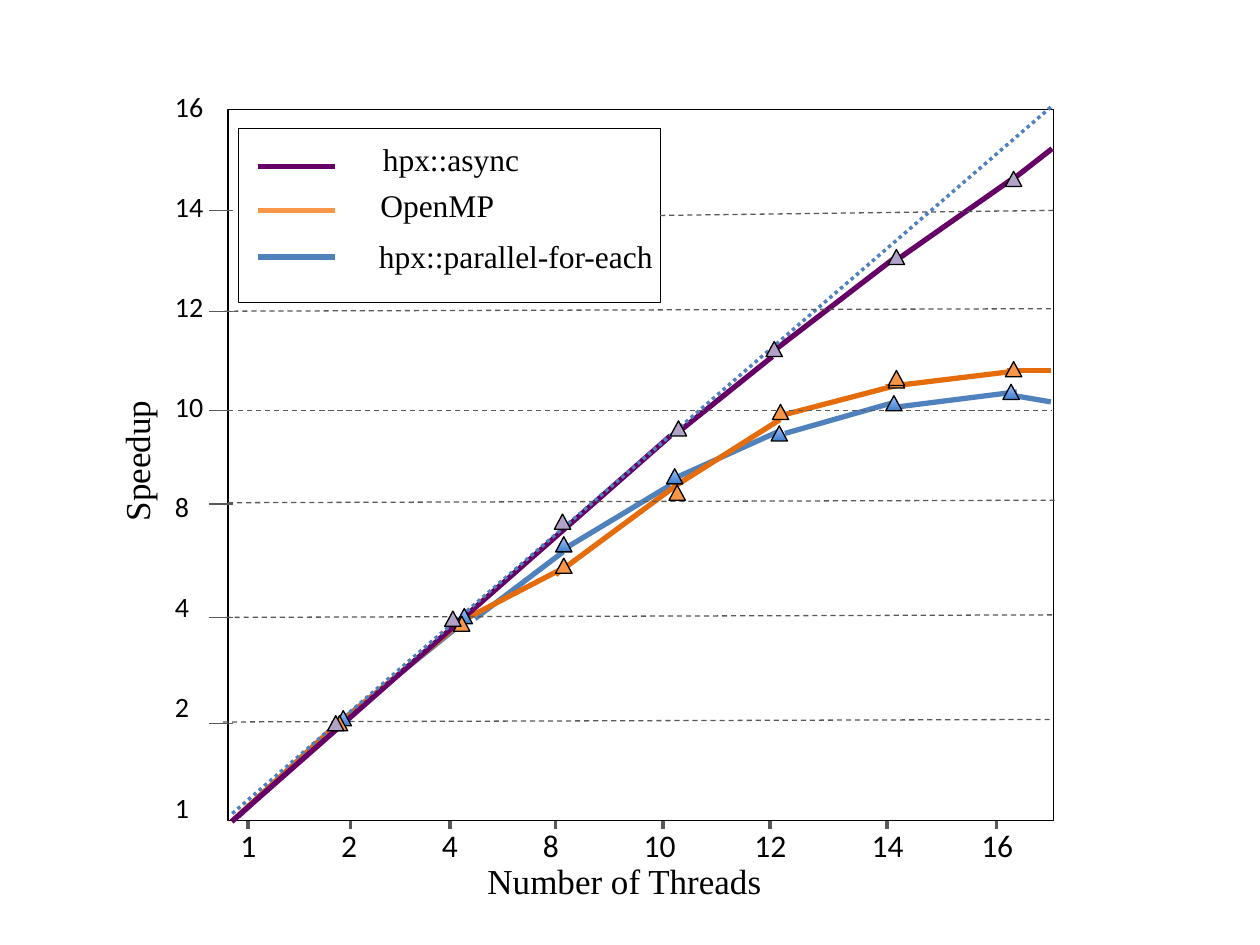
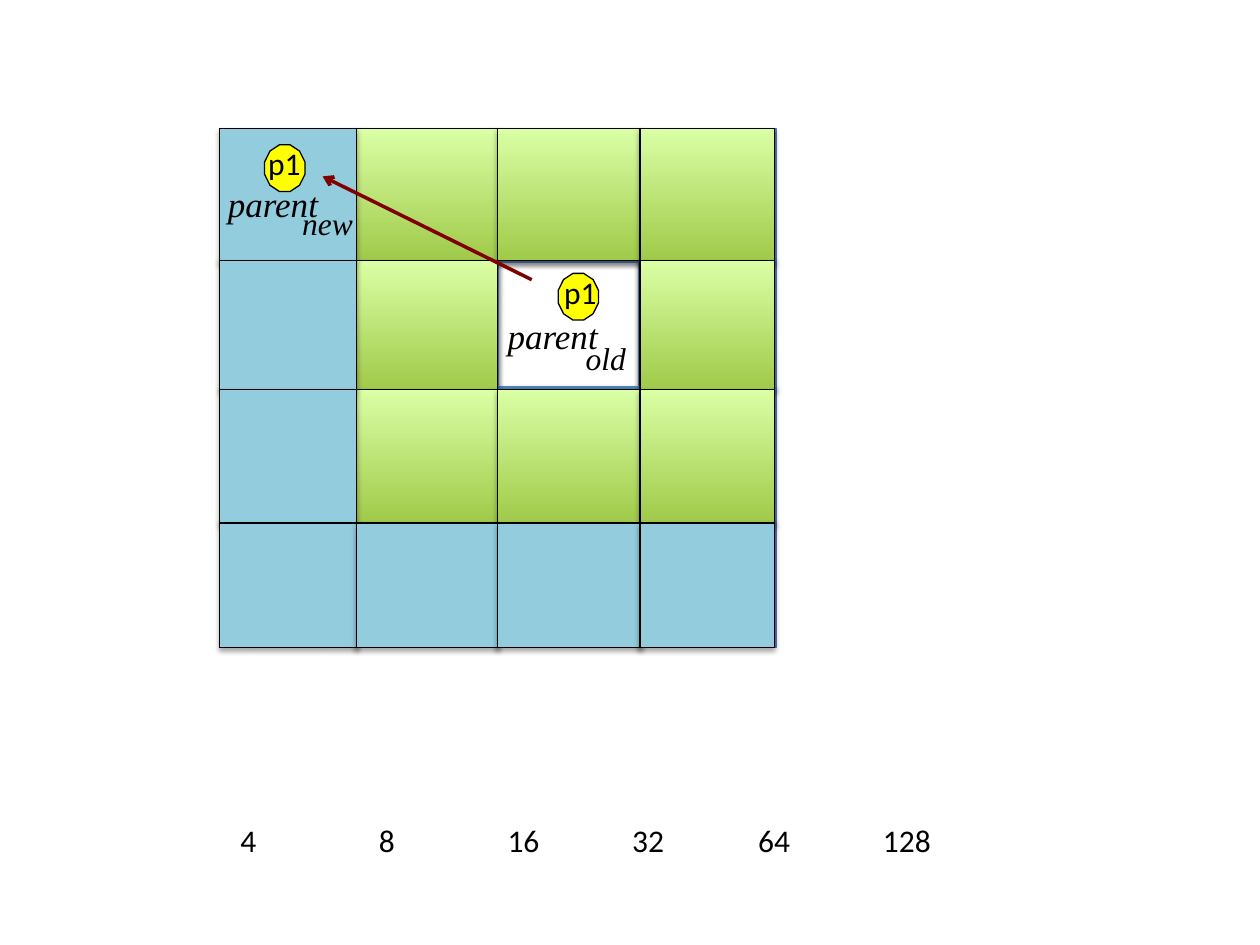
"""Build a speedup line plot and a particle grid diagram as two slides."""
from lxml import etree
from pptx import Presentation
from pptx.dml.color import RGBColor
from pptx.enum.dml import MSO_LINE
from pptx.enum.shapes import MSO_CONNECTOR, MSO_SHAPE
from pptx.enum.text import MSO_AUTO_SIZE
from pptx.oxml.ns import qn
from pptx.util import Inches, Pt

STRAIGHT = MSO_CONNECTOR.STRAIGHT
RECTANGLE, TRIANGLE, DODECAGON = MSO_SHAPE.RECTANGLE, MSO_SHAPE.ISOSCELES_TRIANGLE, MSO_SHAPE.DODECAGON
DASH, DOT = MSO_LINE.DASH, MSO_LINE.ROUND_DOT
FIT_SHAPE = MSO_AUTO_SIZE.SHAPE_TO_FIT_TEXT
TOP, LEFT, BOTTOM, RIGHT = range(4)
SANS, SERIF = "Calibri", "Times New Roman"

COLORS = {
    "black": "000000", "gray": "595959", "blue": "4F81BD", "orange": "E46C0A",
    "light orange": "F79646", "purple": "660066", "lilac": "B3A2C7",
    "marker dark": "3F80CE", "marker light": "A4C4FF", "green dark": "A0CA4A",
    "green light": "DAFFA5", "cyan": "93CDDD", "yellow": "FFFF00",
    "outline": "4B7EBC", "red": "BF4C48", "maroon": "800000",
}
BLUE_GRADIENT = ("marker dark", "marker light")
GREEN_GRADIENT = ("green dark", "green light")

PLOT = (1.81, 0.87, 6.55, 5.64)
LEGEND = (1.89, 1.02, 3.35, 1.38)
SPEEDUPS = ["16", "14", "12", "10", "8", "4", "2", "1"]
THREADS = ["1", "2", "4", "8", "10", "12", "14", "16"]
THREAD_TABS = [0.8, 1.6, 2.4, 3.2, 4.08, 5.01, 5.88]
THREAD_TICKS = [1.97, 2.78, 3.57, 4.41, 5.26, 6.11, 7.04, 7.91]
SPEEDUP_TICKS = [1.67, 2.47, 3.26, 4, 4.9, 5.74]
GRIDLINES = [
    (1.78, 2.47, 8.34, 2.45), (1.89, 3.26, 8.34, 3.26), (1.81, 3.99, 8.37, 3.97),
    (1.79, 4.9, 8.35, 4.88), (1.77, 5.73, 8.34, 5.71),
]
SERIES = [
    {
        "color": "blue", "fill": BLUE_GRADIENT,
        "segments": [
            (1.89, 6.48, 2.66, 5.76), (2.66, 5.76, 3.75, 4.88), (3.77, 4.91, 4.47, 4.38),
            (4.44, 4.38, 5.32, 3.85), (5.39, 3.78, 6.19, 3.42), (6.23, 3.44, 7.11, 3.19),
            (7.12, 3.23, 8.07, 3.11), (7.99, 3.13, 8.34, 3.19),
        ],
        "markers": [(2.66, 5.64), (3.62, 4.83), (4.41, 4.26), (5.29, 3.72),
                    (6.12, 3.38), (7.03, 3.14), (7.96, 3.05)],
    },
    {
        "color": "orange", "fill": "light orange",
        "segments": [
            (1.84, 6.52, 2.61, 5.81), (2.7, 5.74, 3.62, 4.97), (3.66, 4.93, 4.47, 4.51),
            (4.41, 4.56, 5.37, 3.85), (5.37, 3.85, 6.19, 3.33), (6.19, 3.3, 7.11, 3.06),
            (7.03, 3.07, 8.02, 2.95), (7.99, 2.94, 8.34, 2.94),
        ],
        "markers": [(2.63, 5.68), (3.6, 4.89), (4.41, 4.43), (5.31, 3.85),
                    (6.13, 3.21), (7.05, 2.96), (7.05, 2.94), (7.98, 2.87)],
    },
    {
        "color": "purple", "fill": "lilac",
        "segments": [
            (1.84, 6.52, 5.32, 3.46), (5.42, 3.4, 6.13, 2.83), (6.16, 2.77, 7.11, 2.04),
            (7.15, 2.04, 8.02, 1.43), (8.03, 1.43, 8.35, 1.18),
        ],
        "markers": [(2.6, 5.68), (3.53, 4.85), (4.4, 4.08), (5.32, 3.34),
                    (6.08, 2.71), (7.05, 1.98), (7.98, 1.36)],
    },
]
IDEAL = (8.34, 0.85, 1.84, 6.46)
LEGEND_ENTRIES = [
    ("hpx::async", "purple", 1.32, (2.94, 1.06, 1.3, 0.4)),
    ("OpenMP", "light orange", 1.67, (2.92, 1.43, 1.11, 0.4)),
    ("hpx::parallel-for-each", "blue", 2.04, (2.91, 1.83, 2.4, 0.4)),
]

COLUMN_EDGES = [1.74, 2.83, 3.95, 5.08, 6.15]
ROW_EDGES = [1.02, 2.07, 3.09, 4.15, 5.14]
CELL_ROWS = ["CGGG", "CGWG", "CGGG", "CCCC"]
CELL_STYLES = {"W": (None, "red"), "G": (GREEN_GRADIENT, "black"), "C": ("cyan", "black")}
PARTICLES = [
    {"dot": (4.43, 2.17), "name": (4.38, 2.12), "parent": (3.93, 2.45),
     "suffix": "old", "suffix box": (4.55, 2.64, 0.61, 0.4)},
    {"dot": (2.1, 1.15), "name": (2.03, 1.09), "parent": (1.71, 1.4),
     "suffix": "new", "suffix box": (2.3, 1.57, 0.71, 0.4)},
]
MOVE = (4.22, 2.22, 2.56, 1.4)
COUNTS = ["4", "8", "16", "32", "64", "128"]
COUNT_TABS = [1.1, 2.12, 3.11, 4.11, 5.1]


def rgb(name):
    return RGBColor.from_string(COLORS[name])


def set_effects(shape, shadow):
    effects = etree.SubElement(shape._element.spPr, qn("a:effectLst"))
    if shadow:
        opacity, distance = shadow
        outer = etree.SubElement(effects, qn("a:outerShdw"), blurRad=str(Pt(3.1)),
                                 dist=str(Pt(distance)), dir="5400000", rotWithShape="0")
        color = etree.SubElement(outer, qn("a:srgbClr"), val=COLORS["black"])
        etree.SubElement(color, qn("a:alpha"), val=str(opacity * 1000))


def add_box(slide, kind, box, fill=None, line="black", shadow=None):
    shape = slide.shapes.add_shape(kind, *map(Inches, box))
    if fill is None:
        shape.fill.background()
    elif isinstance(fill, tuple):
        shape.fill.gradient()
        shape.fill.gradient_angle = 90
        for stop, name in zip(shape.fill.gradient_stops, fill):
            stop.color.rgb = rgb(name)
    else:
        shape.fill.solid()
        shape.fill.fore_color.rgb = rgb(fill)
    shape.line.color.rgb = rgb(line)
    shape.line.width = Pt(0.75)
    set_effects(shape, shadow)
    return shape


def add_line(slide, ends, color, width, dash=None, shadow=None):
    line = slide.shapes.add_connector(STRAIGHT, *map(Inches, ends))
    line.line.color.rgb = rgb(color)
    line.line.width = Pt(width)
    if dash:
        line.line.dash_style = dash
    set_effects(line, shadow)
    return line


def add_text(slide, box, paragraphs, size, font, italic=None, wrap=False, gap=0, tabs=()):
    shape = slide.shapes.add_textbox(*map(Inches, box))
    frame = shape.text_frame
    frame.word_wrap = wrap
    frame.auto_size = FIT_SHAPE
    frame.text = "\n".join(paragraphs)
    for index, paragraph in enumerate(frame.paragraphs):
        if index and gap:
            paragraph.space_before = Pt(gap)
        if tabs:
            tab_list = etree.SubElement(paragraph._p.get_or_add_pPr(), qn("a:tabLst"))
            for position in tabs:
                etree.SubElement(tab_list, qn("a:tab"), pos=str(Inches(position)), algn="l")
        for run in paragraph.runs:
            run.font.name = font
            run.font.size = Pt(size)
            run.font.italic = italic
            run.font.color.rgb = rgb("black")
    return shape


def build_speedup(slide):
    add_box(slide, RECTANGLE, PLOT)
    add_text(slide, (1.81, 6.51, 6.56, 0.4), ["\t".join(THREADS)], 18, SANS,
             wrap=True, tabs=THREAD_TABS)
    add_text(slide, (1.29, 0.66, 0.43, 6.02), SPEEDUPS, 16, SANS, gap=38)
    add_text(slide, (3.77, 6.77, 2.41, 0.44), ["Number of Threads"], 20, SERIF)
    axis_title = add_text(slide, (0.18, 3.11, 1.81, 0.44), ["Speedup"], 20, SERIF, wrap=True)
    axis_title.rotation = 270

    for series in SERIES:
        for segment in series["segments"]:
            add_line(slide, segment, series["color"], 3)
    legend = add_box(slide, RECTANGLE, LEGEND)
    for label, color, y, box in LEGEND_ENTRIES:
        add_line(slide, (2.05, y, 2.66, y), color, 3)
        add_text(slide, box, [label], 18, SERIF)
    add_line(slide, IDEAL, "blue", 2, DOT)

    top_gridline = add_line(slide, (5.24, 1.71, 8.36, 1.67), "gray", 0.75, DASH)
    top_gridline.begin_connect(legend, RIGHT)
    for gridline in GRIDLINES:
        add_line(slide, gridline, "gray", 0.75, DASH)
    for y in SPEEDUP_TICKS:
        add_line(slide, (1.66, y, 1.85, y), "gray", 0.75)
    for x in THREAD_TICKS:
        add_line(slide, (x, 6.52, x, 6.58), "gray", 2)
    for series in SERIES:
        for x, y in series["markers"]:
            add_box(slide, TRIANGLE, (x, y, 0.13, 0.12), series["fill"])


def build_particle_grid(slide):
    left, *inner_columns, right = COLUMN_EDGES
    top, *inner_rows, bottom = ROW_EDGES
    outer = add_box(slide, RECTANGLE, (left, top, 4.42, 4.12), line="outline")
    add_box(slide, RECTANGLE, (2.84, 2.07, 2.24, 2.07), line="outline")
    dividers = [(x, top, x, bottom) for x in inner_columns]
    dividers += [(left, y, right, y) for y in inner_rows]
    lines = [add_line(slide, ends, "blue", 2, shadow=(38, 1.6)) for ends in dividers]
    for line, start, end in ((lines[1], TOP, BOTTOM), (lines[4], LEFT, RIGHT)):
        line.begin_connect(outer, start)
        line.end_connect(outer, end)

    for code, (fill, outline) in CELL_STYLES.items():
        for row, codes in enumerate(CELL_ROWS):
            for column, cell in enumerate(codes):
                if cell == code:
                    x, y = COLUMN_EDGES[column], ROW_EDGES[row]
                    box = (x, y, COLUMN_EDGES[column + 1] - x, ROW_EDGES[row + 1] - y)
                    add_box(slide, RECTANGLE, box, fill, outline, (35, 1.8))

    for particle in PARTICLES:
        add_box(slide, DODECAGON, (*particle["dot"], 0.32, 0.37), "yellow")
        add_text(slide, (*particle["name"], 0.46, 0.4), ["p1"], 18, SANS)
        add_text(slide, (*particle["parent"], 1.04, 0.44), ["parent"], 20, SERIF, italic=True)
        add_text(slide, particle["suffix box"], [particle["suffix"]], 18, SERIF, italic=True)
    arrow = add_line(slide, MOVE, "maroon", 2)
    etree.SubElement(arrow.line._get_or_add_ln(), qn("a:tailEnd"), type="arrow")
    add_text(slide, (1.81, 6.47, 6.84, 0.4), ["\t".join(COUNTS)], 18, SANS,
             wrap=True, tabs=COUNT_TABS)


def main():
    presentation = Presentation()
    presentation.slide_width, presentation.slide_height = Inches(10), Inches(7.5)
    blank = presentation.slide_layouts[6]
    for build in (build_speedup, build_particle_grid):
        build(presentation.slides.add_slide(blank))
    presentation.save("out.pptx")


if __name__ == "__main__":
    main()
